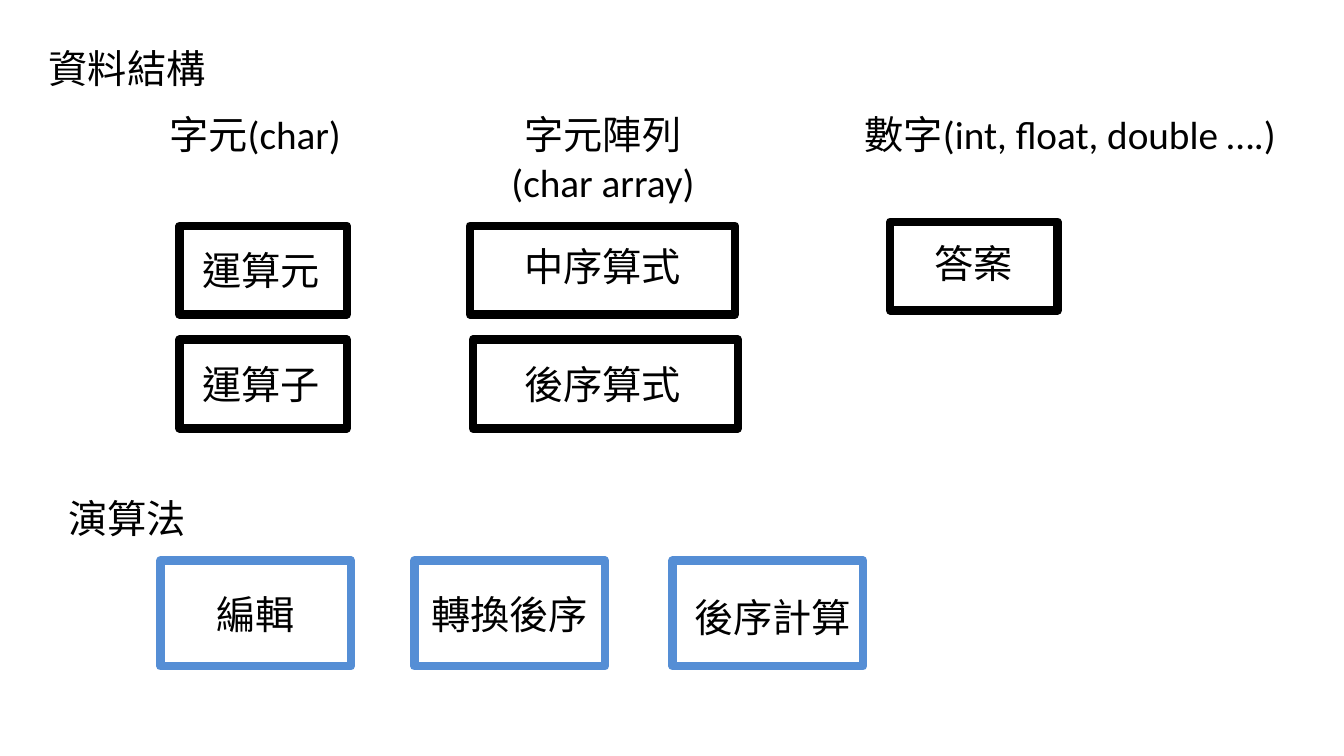
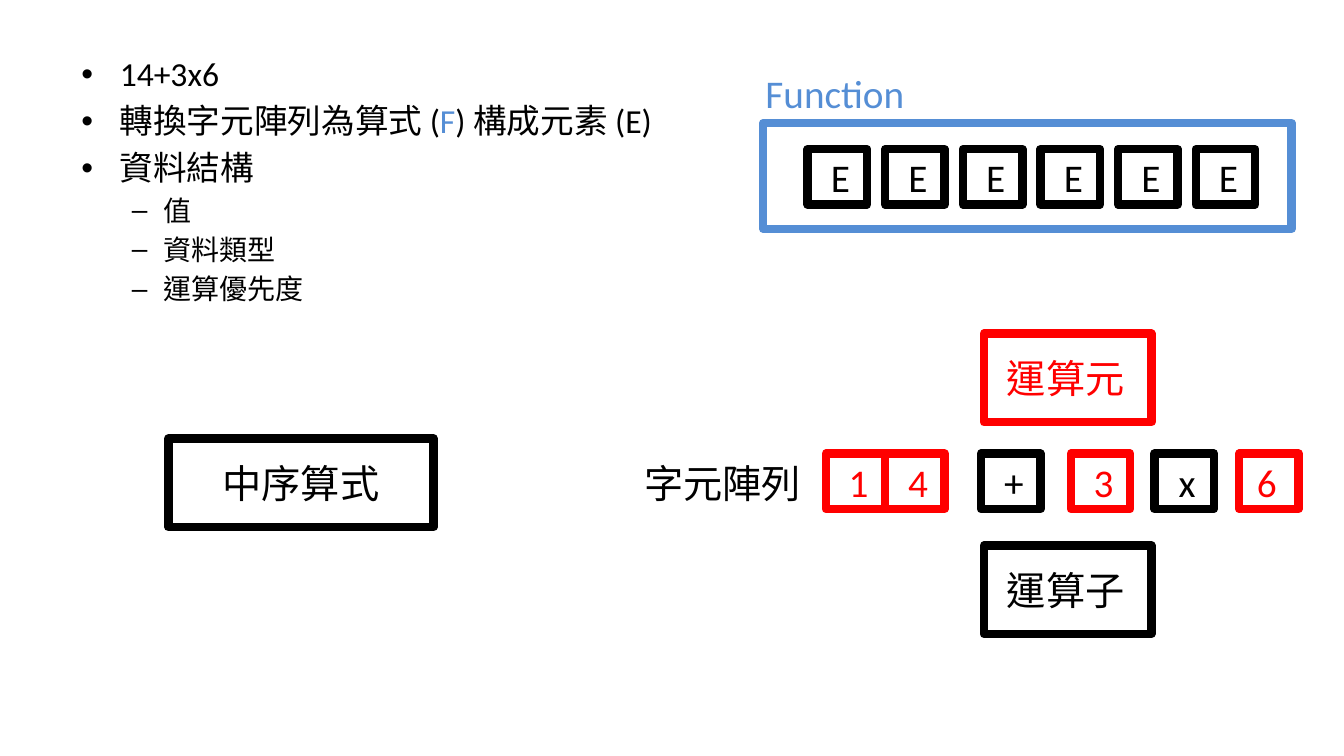
from lxml import etree
from pptx import Presentation
from pptx.dml.color import RGBColor
from pptx.enum.shapes import MSO_SHAPE
from pptx.enum.text import MSO_ANCHOR, PP_ALIGN
from pptx.oxml.ns import qn
from pptx.util import Inches, Pt

BLACK, BLUE, RED = "000000", "558ED5", "FF0000"
FONT = "Calibri"
TITLE_ONLY, BLANK = 5, 6

# Slide 1: headings and labels are (text, left, top, width, height)
TITLE = ("資料結構", 0.1, 0.39, 2.32, 0.57)
LABELS = [
    ("字元(char)", 1.37, 1.05, 2.32, 0.57),
    ("字元陣列(char array)", 4.82, 1.05, 2.32, 1.04),
    ("數字(int, float, double ….)", 8.33, 1.05, 4.57, 0.57),
    ("演算法", 0.1, 4.85, 2.32, 0.57),
]
# Boxes are (text, left, top, text shift right, text shift down)
SMALL, WIDE, STEP, CELL = (1.66, 0.88), (2.63, 0.88), (1.89, 1.05), (0.59, 0.55)
DATA_BOXES = [
    (SMALL, [("運算元", 1.78, 2.24, -0.02, 0), ("運算子", 1.78, 3.37, -0.02, 0),
             ("答案", 8.83, 2.2, 0, -0.03)]),
    (WIDE, [("中序算式", 4.66, 2.24, 0, -0.04), ("後序算式", 4.69, 3.37, -0.03, 0)]),
]
STEPS = [("編輯", 1.59, 5.56, 0, 0), ("轉換後序", 4.11, 5.56, 0, 0),
         ("後序計算", 6.67, 5.56, 0.05, 0.03)]

# Slide 2: bullets are (level, [(text, colour)])
BULLETS = [
    (0, [("14+3x6", BLACK)]),
    (0, [("轉換字元陣列為算式 (", BLACK), ("F", BLUE), (") 構成元素 (E)", BLACK)]),
    (0, [("資料結構", BLACK)]),
    (1, [("值", BLACK)]),
    (1, [("資料類型", BLACK)]),
    (1, [("運算優先度", BLACK)]),
]
# By level: mark, size, indent, hanging indent
BULLET_STYLES = [("•", 24, 0.38, 0.38), ("–", 20, 0.81, 0.31)]
KINDS = [("運算元", 3.31, RED), ("運算子", 5.41, BLACK)]
CHARS = [("1", 8.19, RED, 0.03), ("4", 8.78, RED, 0.03), ("+", 9.73, BLACK, 0.03),
         ("3", 10.62, RED, 0.03), ("x", 11.45, BLACK, 0.03), ("6", 12.29, RED, -0.02)]
ELEMENTS, ELEMENT_LEFT, ELEMENT_PITCH = "EEEEEE", 8.01, 0.77


def rgb(value):
    return RGBColor.from_string(value)


def set_attrs(target, values):
    for name, value in values.items():
        setattr(target, name, value)


def add_run(p, text, color=BLACK, size=28):
    r = p.add_run()
    r.text = text
    set_attrs(r.font, {"name": FONT, "size": Pt(size), "bold": False})
    r.font.color.rgb = rgb(color)
    r._r.get_or_add_rPr().set("lang", "zh-TW")


def write(tf, text, color=BLACK, align=PP_ALIGN.CENTER):
    tf.word_wrap = True
    p = tf.paragraphs[0]
    p.alignment = align
    add_run(p, text, color)


def add_label(s, text, x, y, w, h, **style):
    tb = s.shapes.add_textbox(*map(Inches, (x, y, w, h)))
    write(tb.text_frame, text, **style)


def add_box(s, size, text, x, y, dx=0, dy=0, line=BLACK, color=BLACK):
    """Outlined box; dx and dy shift its centred text through the insets."""
    sp = s.shapes.add_shape(MSO_SHAPE.RECTANGLE, *map(Inches, (x, y, *size)))
    sp.shadow.inherit = False
    sp.fill.background()
    sp.line.color.rgb = rgb(line)
    sp.line.width = Pt(6)
    if text:
        tf = sp.text_frame
        set_attrs(tf, {
            "margin_left": Inches(max(2 * dx, 0)), "margin_right": Inches(max(-2 * dx, 0)),
            "margin_top": Inches(max(2 * dy, 0)), "margin_bottom": Inches(max(-2 * dy, 0)),
            "vertical_anchor": MSO_ANCHOR.MIDDLE})
        write(tf, text, color)


def add_bullets(s, x, y, w, h):
    tf = s.shapes.add_textbox(*map(Inches, (x, y, w, h))).text_frame
    tf.word_wrap = True
    for i, (level, runs) in enumerate(BULLETS):
        mark, size, indent, hang = BULLET_STYLES[level]
        p = tf.add_paragraph() if i else tf.paragraphs[0]
        set_attrs(p, {"level": level, "space_before": Pt(size * 0.2)})
        pPr = p._p.get_or_add_pPr()
        pPr.set("marL", str(Inches(indent)))
        pPr.set("indent", str(-Inches(hang)))
        etree.SubElement(pPr, qn("a:buFont")).set("typeface", "Arial")
        etree.SubElement(pPr, qn("a:buChar")).set("char", mark)
        for text, color in runs:
            add_run(p, text, color, size)


def build_structures(prs):
    s = prs.slides.add_slide(prs.slide_layouts[TITLE_ONLY])
    text, *place = TITLE
    title = s.shapes.title
    set_attrs(title, dict(zip(("left", "top", "width", "height"), map(Inches, place))))
    write(title.text_frame, text)
    for label in LABELS:
        add_label(s, *label)
    for size, boxes in DATA_BOXES:
        for box in boxes:
            add_box(s, size, *box)
    for step in STEPS:
        add_box(s, STEP, *step, line=BLUE)


def build_conversion(prs):
    s = prs.slides.add_slide(prs.slide_layouts[BLANK])
    add_bullets(s, 0.71, 0.48, 5.96, 2.83)
    add_box(s, WIDE, "中序算式", 1.67, 4.35)
    # Operand and operator keys around the character array
    for text, y, color in KINDS:
        add_box(s, SMALL, text, 9.76, y, -0.02, line=color, color=color)
    add_label(s, "字元陣列", 6.29, 4.51, 1.79, 0.57, align=PP_ALIGN.LEFT)
    for text, x, color, dx in CHARS:
        add_box(s, CELL, text, x, 4.5, dx, line=color, color=color)
    # Function made of elements
    for i, text in enumerate(ELEMENTS):
        add_box(s, CELL, text, ELEMENT_LEFT + i * ELEMENT_PITCH, 1.48, 0.03)
    add_box(s, (5.24, 1.05), "", 7.57, 1.22, line=BLUE)
    add_label(s, "Function", 7.17, 0.64, 2.22, 0.57, color=BLUE)


def main():
    prs = Presentation()
    set_attrs(prs, {"slide_width": Inches(13.33), "slide_height": Inches(7.5)})
    build_structures(prs)
    build_conversion(prs)
    prs.save("out.pptx")


if __name__ == "__main__":
    main()
